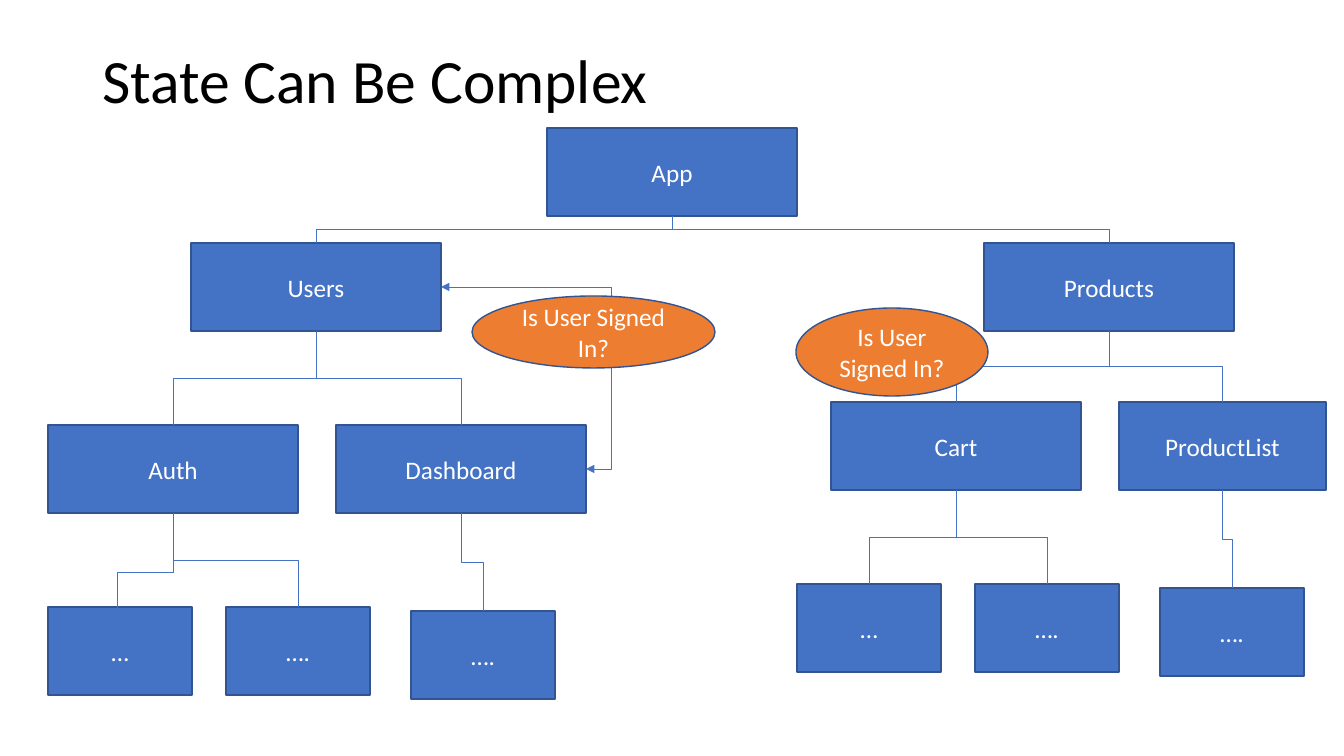
"""Build the slide showing where sign-in state lives in a component tree."""
from dataclasses import dataclass

from lxml.etree import SubElement
from pptx import Presentation
from pptx.dml.color import RGBColor as RGB
from pptx.enum.shapes import MSO_CONNECTOR as LINK, MSO_SHAPE as SHAPE
from pptx.enum.text import MSO_ANCHOR as ANCHOR, PP_ALIGN as ALIGN
from pptx.oxml.ns import qn
from pptx.util import Pt


@dataclass(frozen=True)
class Theme:
    box: RGB = RGB(0x44, 0x72, 0xC4)
    state: RGB = RGB(0xED, 0x7D, 0x31)
    border: RGB = RGB(0x32, 0x54, 0x91)
    label: RGB = RGB(0xFF, 0xFF, 0xFF)
    title: RGB = RGB(0, 0, 0)
    font: str = "Calibri"
    title_size: int = 44
    label_size: int = 18
    border_width: float = 1
    link_width: float = 0.5


THEME = Theme()
EMU_PER_PX = 914400 / 100.8
BOX_H, WIDE, LIST_W, LEAF_W = 88, 250, 207, 144
TOP, BOTTOM, RIGHT = 0, 2, 3

TITLE = "State Can Be Complex"
TITLE_AREA = (92, 40, 1159, 88)
COMPONENTS = {
    "app": ("App", 547, 128, WIDE),
    "users": ("Users", 191, 243, WIDE),
    "products": ("Products", 984, 243, WIDE),
    "auth": ("Auth", 48, 425, WIDE),
    "dashboard": ("Dashboard", 336, 425, WIDE),
    "auth_1": ("…", 48, 607, LEAF_W),
    "auth_2": ("….", 226, 607, LEAF_W),
    "dashboard_1": ("….", 411, 611, LEAF_W),
    "cart": ("Cart", 831, 402, WIDE),
    "list": ("ProductList", 1119, 402, LIST_W),
    "cart_1": ("…", 797, 584, LEAF_W),
    "cart_2": ("….", 975, 584, LEAF_W),
    "list_1": ("….", 1160, 588, LEAF_W),
}
CHILDREN = {
    "app": ["users", "products"],
    "users": ["auth", "dashboard"],
    "products": ["cart", "list"],
    "auth": ["auth_1", "auth_2"],
    "dashboard": ["dashboard_1"],
    "cart": ["cart_1", "cart_2"],
    "list": ["list_1"],
}
FREE_ENDS = {"auth_1": (117, 632)}
STATE = "Is User Signed In?"
STATE_AREAS = [(472, 296, 243, 72), (796, 308, 192, 88)]
SHARED_STATE = ("dashboard", "users")
SHARED_BEND = -17500


def px(n):
    return round(n * EMU_PER_PX)


def style(r, size, color):
    r.font.name, r.font.size, r.font.color.rgb = THEME.font, Pt(size), color


def add_node(kind, text, area, fill):
    s = slide.shapes.add_shape(kind, *map(px, area))
    s.shadow.inherit = False
    s.fill.solid()
    s.fill.fore_color.rgb = fill
    s.line.color.rgb = THEME.border
    s.line.width = Pt(THEME.border_width)
    tf = s.text_frame
    tf.text, tf.word_wrap, tf.vertical_anchor = text, True, ANCHOR.MIDDLE
    p = tf.paragraphs[0]
    p.alignment = ALIGN.CENTER
    style(p.runs[0], THEME.label_size, THEME.label)
    return s


def add_link(start, end):
    s = slide.shapes.add_connector(LINK.ELBOW, *start, *end)
    s.line.color.rgb = THEME.box
    s.line.width = Pt(THEME.link_width)
    SubElement(s._element.spPr, qn("a:effectLst"))
    return s


def link_child(parent, child):
    a, b = nodes[parent], nodes[child]
    x1, y1 = a.left + a.width // 2, a.top + a.height
    free = FREE_ENDS.get(child)
    x2, y2 = map(px, free) if free else (b.left + b.width // 2, b.top)
    s = add_link((x1, y1), (x2, y2))
    s.begin_connect(a, BOTTOM)
    if not free:
        s.end_connect(b, TOP)
    s.width, s.height = y2 - y1, abs(x2 - x1)
    s.left, s.top = (x1 + x2 - s.width) // 2, (y1 + y2 - s.height) // 2
    xfrm = s._element.spPr.find(qn("a:xfrm"))
    xfrm.set("rot", str((90 if x2 < x1 else 270) * 60000))
    xfrm.set("flipH", "0" if x2 < x1 else "1")


def link_shared(first, last):
    a, b = nodes[first], nodes[last]
    start, end = [(n.left + n.width, n.top + n.height // 2) for n in (a, b)]
    s = add_link(start, end)
    s.begin_connect(a, RIGHT)
    s.end_connect(b, RIGHT)
    guides = s._element.spPr.find(qn("a:prstGeom")).find(qn("a:avLst"))
    SubElement(guides, qn("a:gd"), name="adj1", fmla=f"val {SHARED_BEND}")
    ln = s.line._get_or_add_ln()
    for tag in ("a:headEnd", "a:tailEnd"):
        SubElement(ln, qn(tag), type="triangle")


prs = Presentation()
prs.slide_width, prs.slide_height = px(1344), px(756)
slide = prs.slides.add_slide(prs.slide_layouts[5])

title = slide.shapes.title
title.left, title.top, title.width, title.height = map(px, TITLE_AREA)
tf = title.text_frame
tf.text, tf.vertical_anchor = TITLE, ANCHOR.MIDDLE
p = tf.paragraphs[0]
p.alignment, p.line_spacing = ALIGN.LEFT, 0.9
style(p.runs[0], THEME.title_size, THEME.title)

nodes = {
    key: add_node(SHAPE.FLOWCHART_PROCESS, text, (x, y, w, BOX_H), THEME.box)
    for key, (text, x, y, w) in COMPONENTS.items()
}
for parent, children in CHILDREN.items():
    for child in children:
        link_child(parent, child)
link_shared(*SHARED_STATE)
for area in STATE_AREAS:
    add_node(SHAPE.OVAL, STATE, area, THEME.state)

prs.save("out.pptx")
